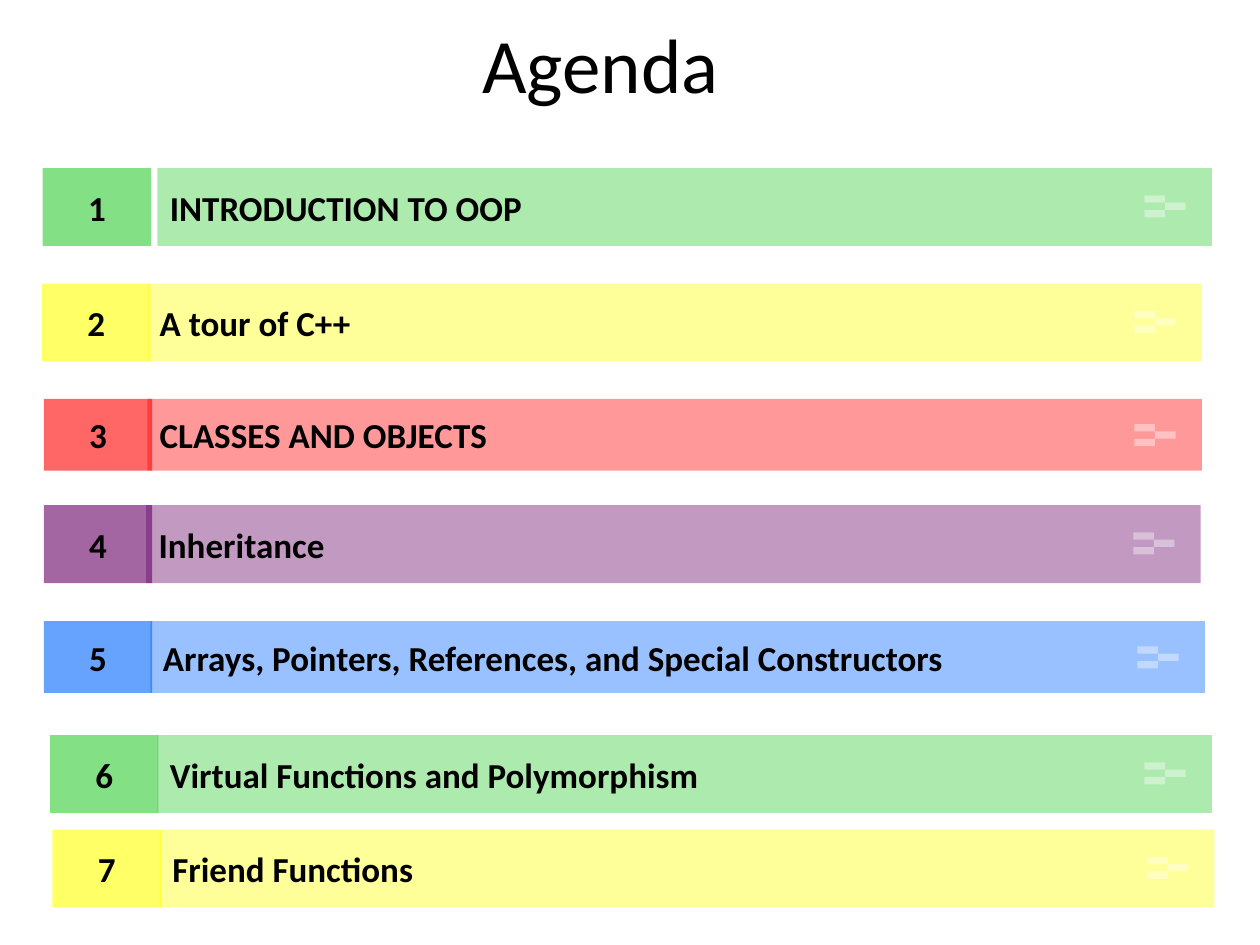
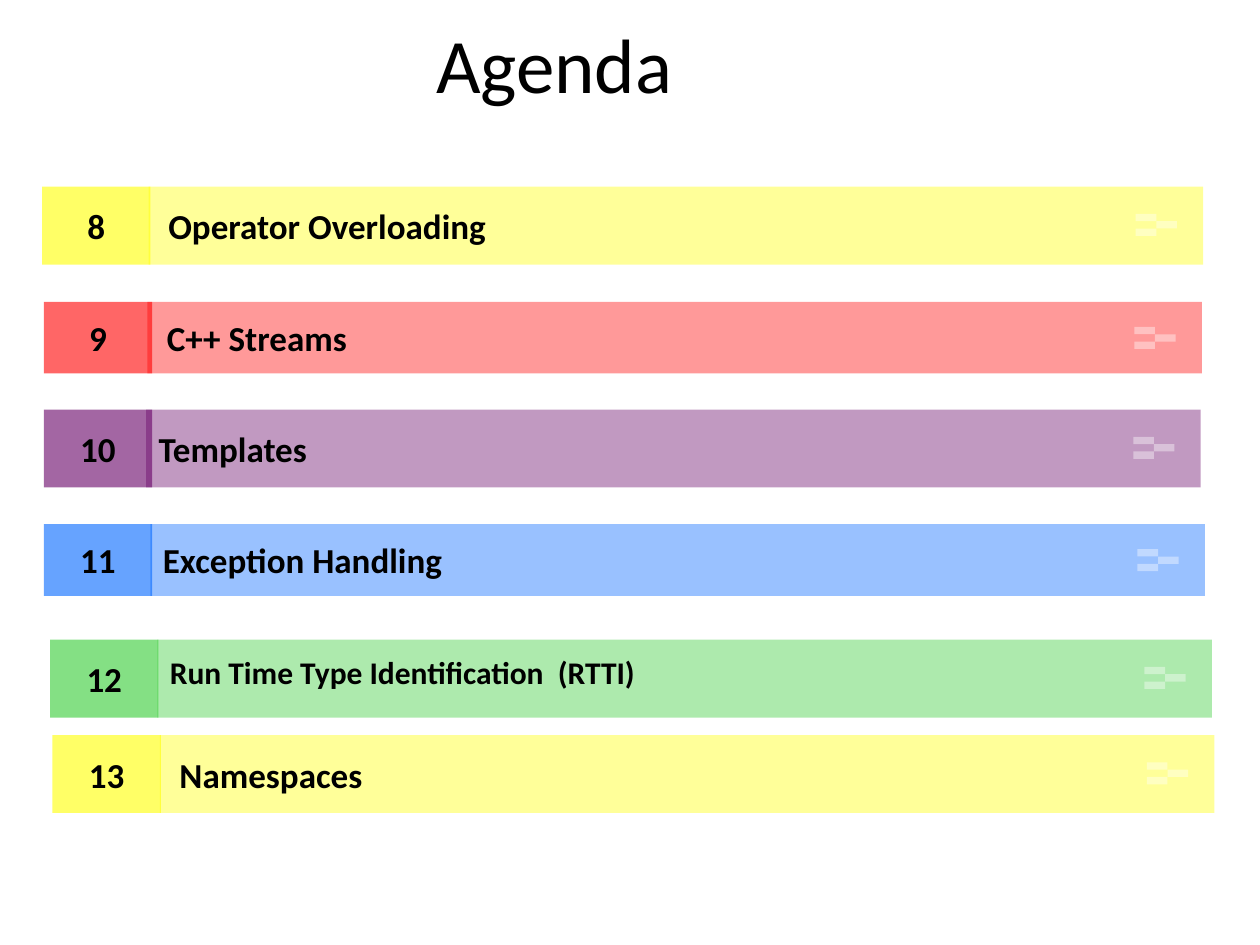
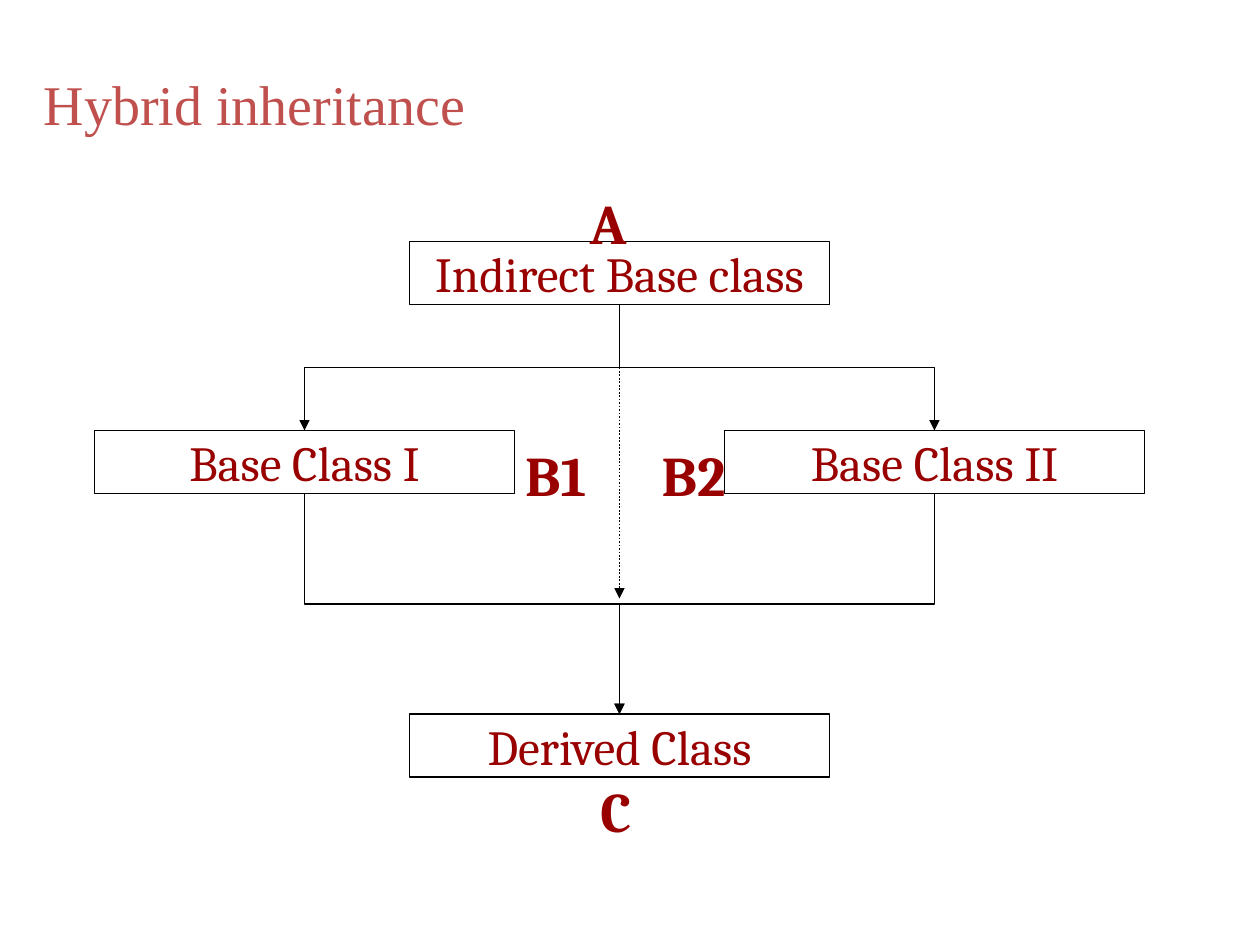
from pptx import Presentation
from pptx.dml.color import RGBColor
from pptx.enum.dml import MSO_LINE
from pptx.enum.shapes import MSO_CONNECTOR, MSO_SHAPE
from pptx.enum.text import MSO_ANCHOR, MSO_AUTO_SIZE, PP_ALIGN
from pptx.oxml.ns import qn
from pptx.util import Pt
from lxml import etree

RECTANGLE = MSO_SHAPE.RECTANGLE
STRAIGHT, ELBOW = MSO_CONNECTOR.STRAIGHT, MSO_CONNECTOR.ELBOW
DOTTED = MSO_LINE.ROUND_DOT
LEFT, CENTER = PP_ALIGN.LEFT, PP_ALIGN.CENTER
TOP, MIDDLE = MSO_ANCHOR.TOP, MSO_ANCHOR.MIDDLE
BOTTOM_SITE, TOP_SITE = 2, 0

COLORS = {
    "green": "33CC33", "yellow": "FFFF00", "red": "FF0000",
    "purple": "660066", "blue": "0066FF", "white": "FFFFFF",
    "black": "000000", "maroon": "990000", "brick": "C0504D",
}
BODY, SERIF, TIMES = "Calibri", "Cambria", "Times New Roman"

BADGE_WIDTH, BAR_WIDTH = 62, 602.6
TALL, LOW = 44.6, 41
ROW_HEIGHTS = {"green": TALL, "yellow": TALL, "red": LOW, "purple": TALL, "blue": LOW}
TICK_WIDTH, TICK_HEIGHT = 11.8, 4.2
INSET = 7.2

# number, topic, colour, badge left, bar left, top, and text options
FIRST_AGENDA = [
    ("1", "INTRODUCTION TO OOP", "green", 24.4, 90, 96, {}),
    ("2", "A tour of C++", "yellow", 24, 84.2, 162, {}),
    ("3", "CLASSES AND OBJECTS", "red", 25, 84.2, 228, {}),
    ("4", "Inheritance", "purple", 25, 83.6, 288.6, {}),
    ("5", "Arrays, Pointers, References, and Special Constructors", "blue",
     25, 86, 355, {}),
    ("6", "Virtual Functions and Polymorphism", "green", 28.6, 90, 420, {}),
    ("7", "Friend Functions", "yellow", 30, 91.4, 474, {}),
]
SECOND_AGENDA = [
    ("8", "Operator Overloading", "yellow", 24, 85, 106.6, {"indent": 4}),
    ("9", "C++ Streams", "red", 25, 84.2, 172.5, {"indent": 4}),
    ("10", "Templates", "purple", 25, 83.6, 234, {}),
    ("11", "Exception Handling", "blue", 25, 86, 299.5, {}),
    ("12", "Run Time Type Identification  (RTTI)", "green", 28.6, 90, 365.5,
     {"size": 18, "lift": 7.2}),
    ("13", "Namespaces", "yellow", 30, 91.4, 420, {"indent": 4}),
]

CLASS_WIDTH, CLASS_HEIGHT = 240, 36


def rgb(name):
    return RGBColor.from_string(COLORS[name])


def write(box, text, size, font=BODY, color="black", bold=False, align=LEFT,
          anchor=MIDDLE, wrap=True, indent=0, lift=0):
    """Set one paragraph; indent and lift widen the left and bottom margins."""
    frame = box.text_frame
    frame.word_wrap = wrap
    frame.vertical_anchor = anchor
    frame.margin_left = Pt(INSET + indent)
    frame.margin_bottom = Pt(INSET / 2 + lift)
    para = frame.paragraphs[0]
    para.text = text
    para.alignment = align
    para.font.name, para.font.size, para.font.bold = font, Pt(size), bold
    para.font.color.rgb = rgb(color)


def add_textbox(page, left, top, width, height, text, size, **style):
    box = page.shapes.add_textbox(Pt(left), Pt(top), Pt(width), Pt(height))
    write(box, text, size, **style)
    return box


def add_rectangle(shapes, left, top, width, height, color, opacity=100):
    box = shapes.add_shape(RECTANGLE, Pt(left), Pt(top), Pt(width), Pt(height))
    box.shadow.inherit = False
    box.fill.solid()
    box.fill.fore_color.rgb = rgb(color)
    box.line.fill.background()
    if opacity < 100:
        fill = box.element.spPr.find(qn("a:solidFill"))
        etree.SubElement(fill[0], qn("a:alpha"), val=str(opacity * 1000))
    return box


def add_ticks(shapes, left, top):
    """Add three pale blocks, the middle one stepped to the right."""
    for index in range(3):
        add_rectangle(shapes, left + index % 2 * TICK_WIDTH, top + index * TICK_HEIGHT,
                      TICK_WIDTH, TICK_HEIGHT, "white", 40)


def add_agenda_row(page, number, topic, color, badge_left, bar_left, top, options):
    height = ROW_HEIGHTS[color]
    badge = add_rectangle(page.shapes, badge_left, top, BADGE_WIDTH, height, color, 60)
    write(badge, number, 20, bold=True, align=CENTER)
    shapes = page.shapes.add_group_shape().shapes
    bar = add_rectangle(shapes, bar_left, top, BAR_WIDTH, height, color, 40)
    write(bar, topic, bold=True, **{"size": 20, **options})
    add_ticks(shapes, bar_left + 564, top + 0.35 * height)


def add_agenda(deck, title_left, title_indent, rows):
    page = add_page(deck)
    add_textbox(page, title_left, 0, 595.4, 72, "Agenda", 44, align=CENTER,
                indent=title_indent)
    for row in rows:
        add_agenda_row(page, *row)


def add_class_box(page, left, top, name):
    box = add_rectangle(page.shapes, left, top, CLASS_WIDTH, CLASS_HEIGHT, "white")
    box.line.color.rgb = rgb("black")
    box.line.width = Pt(1)
    write(box, name, 28, font=SERIF, color="maroon", align=CENTER, wrap=False)
    return box


def style_arrow(arrow, dash=None):
    arrow.line.color.rgb = rgb("black")
    arrow.line.width = Pt(1)
    if dash:
        arrow.line.dash_style = dash
    properties = arrow.element.spPr
    etree.SubElement(properties.find(qn("a:ln")), qn("a:tailEnd"), type="triangle")
    etree.SubElement(properties, qn("a:effectLst"))


def add_elbow(page, parent, child):
    """Join the parent's bottom to the child's top, bending halfway down."""
    arrow = page.shapes.add_connector(ELBOW, 0, 0, 0, 0)
    arrow.begin_connect(parent, BOTTOM_SITE)
    arrow.end_connect(child, TOP_SITE)
    start_x, start_y = parent.left + parent.width // 2, parent.top + parent.height
    end_x, end_y = child.left + child.width // 2, child.top
    width, height = end_y - start_y, abs(end_x - start_x)
    arrow.left = (start_x + end_x - width) // 2
    arrow.top = (start_y + end_y - height) // 2
    arrow.width, arrow.height = width, height
    frame = arrow.element.spPr.find(qn("a:xfrm"))
    for flip in ("flipH", "flipV"):
        frame.attrib.pop(flip, None)
    goes_right = end_x > start_x
    frame.set("rot", str((270 if goes_right else 90) * 60000))
    if goes_right:
        frame.set("flipH", "1")
    style_arrow(arrow)


def add_hybrid_inheritance(deck):
    page = add_page(deck)
    second_base = add_class_box(page, 414, 246, "Base Class II")
    indirect_base = add_class_box(page, 234, 138, "Indirect Base class")
    first_base = add_class_box(page, 54, 246, "Base Class I")
    derived = add_class_box(page, 234, 408, "Derived Class")
    for base in (first_base, second_base):
        add_elbow(page, indirect_base, base)
        add_elbow(page, base, derived)
    indirect_link = page.shapes.add_connector(STRAIGHT, Pt(354), Pt(210), Pt(354), Pt(342))
    style_arrow(indirect_link, DOTTED)

    for letter, left, top, width in (("A", 330, 104.4, 39.6), ("B1", 293, 248.4, 52),
                                     ("B2", 371, 248.4, 52), ("C", 336, 440, 37.4)):
        label = add_textbox(page, left, top, width, 45.4, letter, 32, font=SERIF,
                            color="maroon", bold=True, anchor=TOP, wrap=False)
        label.text_frame.auto_size = MSO_AUTO_SIZE.SHAPE_TO_FIT_TEXT
    add_textbox(page, 18, 36, 429, 45.4, "Hybrid inheritance", 32, font=TIMES,
                color="brick", anchor=TOP)


def add_page(deck):
    return deck.slides.add_slide(deck.slide_layouts[6])


def main():
    deck = Presentation()
    deck.slide_width, deck.slide_height = Pt(720), Pt(540)
    add_agenda(deck, 12, 67, FIRST_AGENDA)
    add_agenda(deck, 0, 38, SECOND_AGENDA)
    add_hybrid_inheritance(deck)
    deck.save("out.pptx")


if __name__ == "__main__":
    main()
